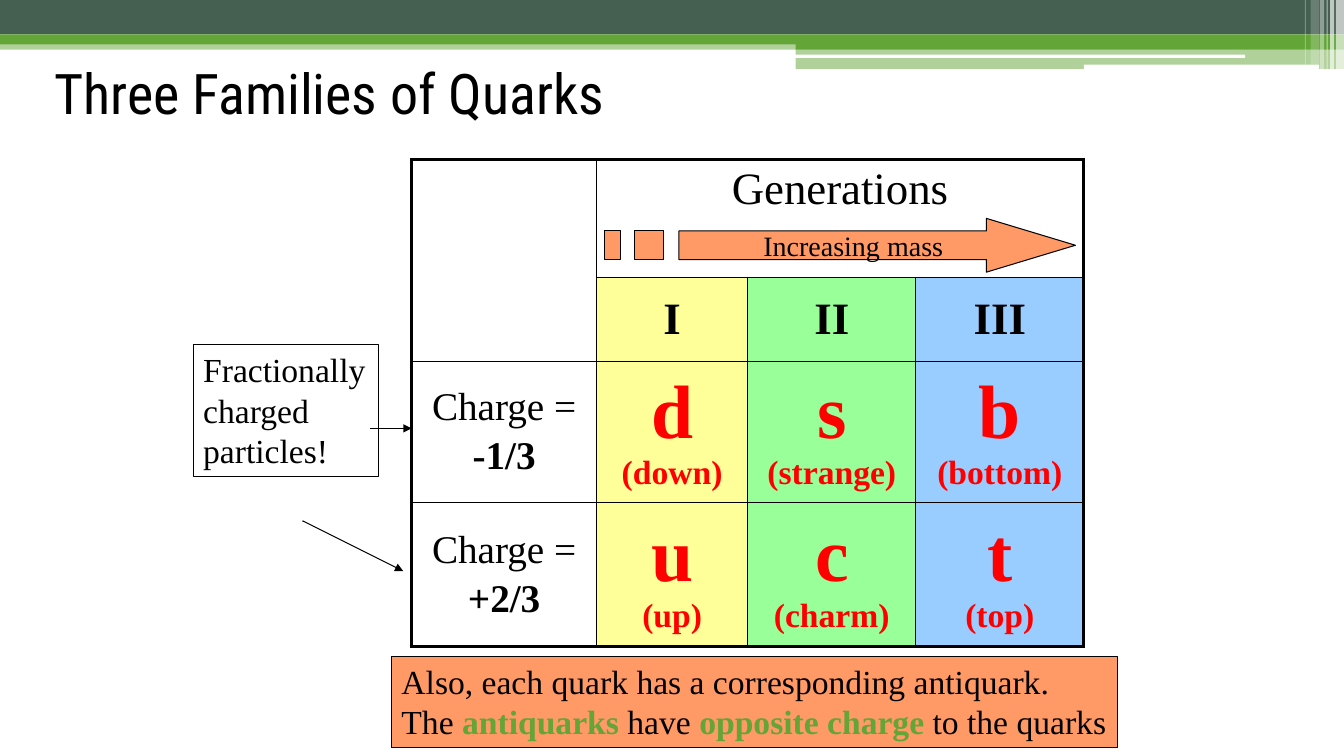
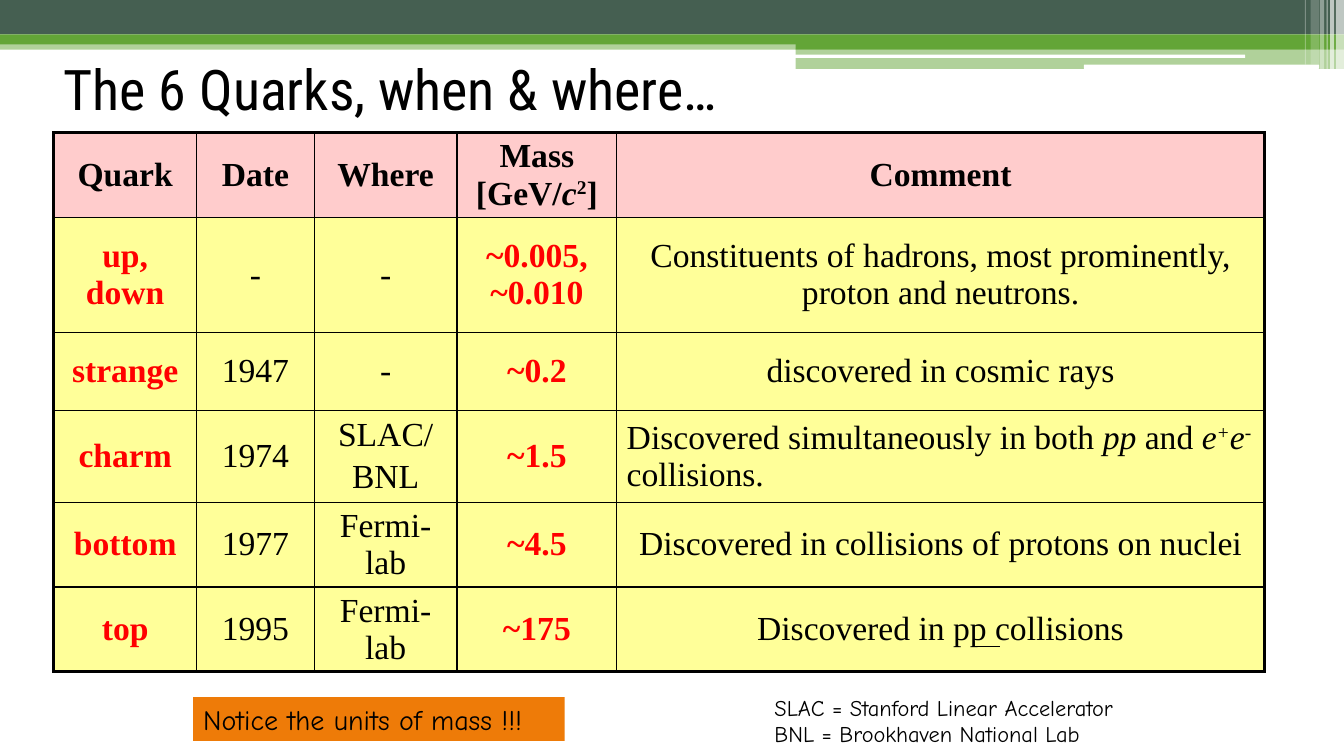
"""Build two slides about the quark families and their discovery."""
import pptx
import pptx.dml.color
import pptx.enum.shapes
import pptx.enum.text
import pptx.oxml
import pptx.oxml.ns
import pptx.util

BLACK, WHITE, RED = "000000", "FFFFFF", "FF0000"
GREEN, DARK_GREEN = "63A537", "455F51"
YELLOW, MINT, BLUE, PINK = "FFFF99", "99FF99", "99CCFF", "FFCCCC"
ORANGE, DEEP_ORANGE = "FF9966", "EE7B08"
LEFT, CENTER = pptx.enum.text.PP_ALIGN.LEFT, pptx.enum.text.PP_ALIGN.CENTER
TOP, MIDDLE = pptx.enum.text.MSO_ANCHOR.TOP, pptx.enum.text.MSO_ANCHOR.MIDDLE
DRAWING = pptx.oxml.ns.nsdecls("a")


def paint(fill, color, opacity=100):
    """Fill with a hex colour at an opacity in percent."""
    fill.solid()
    fill.fore_color.rgb = pptx.dml.color.RGBColor.from_string(color)
    if opacity < 100:
        choice = fill.fore_color._xFill.find(pptx.oxml.ns.qn("a:srgbClr"))
        choice.append(pptx.oxml.parse_xml(f'<a:alpha {DRAWING} val="{opacity * 1000}"/>'))


def write(frame, *paragraphs, align=LEFT, **style):
    """Write paragraphs, each a string or a list of (text, style) runs."""
    for index, content in enumerate(paragraphs):
        paragraph = frame.add_paragraph() if index else frame.paragraphs[0]
        paragraph.alignment = align
        if index:
            paragraph.space_before = pptx.util.Pt(0.15 * style.get("size", 24))
        for text, changes in [(content, {})] if isinstance(content, str) else content:
            look = {**style, **changes}
            for number, line in enumerate(text.split("\n")):
                if number:
                    paragraph.add_line_break()
                if not line:
                    continue
                run = paragraph.add_run()
                run.text = line
                run.font.name = look.get("font", "Times New Roman")
                run.font.size = pptx.util.Pt(look.get("size", 24))
                run.font.bold = look.get("bold", False)
                run.font.italic = look.get("italic", False)
                paint(run.font.fill, look.get("color", BLACK))
                if look.get("raised"):
                    run.font._element.set("baseline", "30000")


presentation = pptx.Presentation()
presentation.slide_width = pptx.util.Inches(13.33)
presentation.slide_height = pptx.util.Inches(7.5)
unit = presentation.slide_height / 90
layout = presentation.slide_layouts[5]

titles = [
    ("Three Families of Quarks", (5.3, 6.5, 102, 9)),
    ("The 6 Quarks, when & where…", (6.4, 7, 102, 7)),
]
slides = []
for text, box in titles:
    slide = presentation.slides.add_slide(layout)
    title = slide.shapes.title
    title.left, title.top, title.width, title.height = [int(unit * length) for length in box]
    title.text_frame.auto_size = pptx.enum.text.MSO_AUTO_SIZE.NONE
    title.text_frame.vertical_anchor = MIDDLE
    write(title.text_frame, text, font="Roboto Condensed", size=40)
    slides.append(slide)
families, discoveries = slides

RECTANGLE = pptx.enum.shapes.MSO_SHAPE.RECTANGLE
ROUNDED = pptx.enum.shapes.MSO_SHAPE.ROUNDED_RECTANGLE
bands = [
    (RECTANGLE, 0, 4.8, 160, 1.1, GREEN, 50),
    (RECTANGLE, 0, 0, 160, 4.1, DARK_GREEN, 100),
    (RECTANGLE, 0, 4.1, 160, 1.2, GREEN, 100),
    (RECTANGLE, 94.7, 4.7, 65.3, 1.2, GREEN, 100),
    (RECTANGLE, 94.7, 5.8, 65.3, 2.4, GREEN, 50),
    (ROUNDED, 94.6, 6.5, 53.6, 0.4, WHITE, 100),
    (ROUNDED, 129, 7.7, 28, 0.5, WHITE, 100),
    (RECTANGLE, 159, 0, 1, 8.2, WHITE, 65),
    (RECTANGLE, 158.3, 0, 0.5, 8.2, WHITE, 65),
    (RECTANGLE, 157.9, 0, 0.12, 8.2, WHITE, 60),
    (RECTANGLE, 157.1, 0, 0.5, 8.2, WHITE, 40),
    (RECTANGLE, 156, 0, 1, 7.7, WHITE, 20),
    (RECTANGLE, 155.3, 0, 0.12, 7.7, WHITE, 30),
]
for index, (preset, *box, color, opacity) in enumerate(bands):
    band = families.shapes.add_shape(preset, *[int(unit * length) for length in box])
    band.shadow.inherit = False
    band.line.fill.background()
    paint(band.fill, color, opacity)
    layout.shapes.element.insert(2 + index, band.element)

generation_fills = [None, YELLOW, MINT, BLUE]
bold = {"bold": True}
family_rows = [
    [([], {}, None), (["Generations"], {"size": 32}, None), ([], {}, None), ([], {}, None)],
    [([text], {"size": 32, "bold": True}, fill)
     for text, fill in zip(["", "I", "II", "III"], generation_fills)],
]
for charge, *quarks in [
    ("-1/3", ("d", "down"), ("s", "strange"), ("b", "bottom")),
    ("+2/3", ("u", "up"), ("c", "charm"), ("t", "top")),
]:
    row = [(["Charge =", [(charge, bold)]], {"size": 28}, None)]
    for (symbol, name), fill in zip(quarks, generation_fills[1:]):
        runs = [(symbol + "\n", {"size": 54}), (f"({name})", {})]
        row.append(([runs], {"color": RED, "bold": True}, fill))
    family_rows.append(row)

italic, raised = {"italic": True}, {"raised": True}
discovery_texts = [
    ["Quark", "Date", "Where",
     [("Mass\n[GeV/", {}), ("c", italic), ("2", raised), ("]", {})], "Comment"],
    ["up, down", "-", "-", "~0.005, ~0.010",
     "Constituents of hadrons, most prominently, proton and neutrons."],
    ["strange", "1947", "-", "~0.2", "discovered in cosmic rays"],
    ["charm", "1974", ("SLAC/", "BNL"), "~1.5",
     [("Discovered simultaneously in both ", {}), ("pp", italic), (" and ", {}), ("e", italic),
      ("+", {**italic, **raised}), ("e", italic), ("-", raised), (" collisions.", {})]],
    ["bottom", "1977", "Fermi-\nlab", "~4.5", "Discovered in collisions of protons on nuclei"],
    ["top", "1995", "Fermi-\nlab", "~175", "Discovered in pp collisions"],
]
discovery_rows = []
for row_index, texts in enumerate(discovery_texts):
    row = []
    for column_index, text in enumerate(texts):
        style = {"bold": row_index == 0}
        if row_index and column_index in (0, 3):
            style = {"bold": True, "color": RED}
        if (row_index, column_index) == (3, 4):
            style["align"] = LEFT
        paragraphs = text if isinstance(text, tuple) else [text]
        row.append((paragraphs, style, YELLOW if row_index else PINK))
    discovery_rows.append(row)

tables = [
    (families, 49, 19, [22, 18, 20, 20], [14, 10, 16.8, 17.2], family_rows,
     [((0, 0), (1, 0)), ((0, 1), (0, 3))]),
    (discoveries, 6.4, 15.8, [17, 14, 17, 19, 77.1], [10.1, 13.7, 9.3, 10.9, 10.1, 10.1],
     discovery_rows, []),
]
for slide, left, top, widths, heights, rows, merges in tables:
    box = [int(unit * length) for length in (left, top, sum(widths), sum(heights))]
    table = slide.shapes.add_table(len(heights), len(widths), *box).table
    table.first_row = table.horz_banding = False
    for column, width in zip(table.columns, widths):
        column.width = int(unit * width)
    for row, height in zip(table.rows, heights):
        row.height = int(unit * height)
    for first, last in merges:
        table.cell(*first).merge(table.cell(*last))
    for row_index, row in enumerate(rows):
        for column_index, (paragraphs, style, fill) in enumerate(row):
            cell = table.cell(row_index, column_index)
            cell.vertical_anchor = TOP if paragraphs == ["Generations"] else MIDDLE
            write(cell.text_frame, *paragraphs, **{"align": CENTER, **style})
            if fill:
                paint(cell.fill, fill)
            else:
                cell.fill.background()
            outer_sides = {
                "lnL": column_index == 0,
                "lnR": column_index + cell.span_width == len(widths),
                "lnT": row_index == 0,
                "lnB": row_index + cell.span_height == len(heights),
            }
            properties = cell._tc.get_or_add_tcPr()
            for index, (side, outer) in enumerate(outer_sides.items()):
                width = pptx.util.Pt(2.25 if outer else 1)
                properties.insert(index, pptx.oxml.parse_xml(
                    f'<a:{side} {DRAWING} w="{width}"><a:solidFill>'
                    f'<a:srgbClr val="{BLACK}"/></a:solidFill></a:{side}>'))

antiquark_runs = [
    ("Also, each quark has a corresponding antiquark.\nThe ", {}),
    ("antiquarks", {"bold": True, "color": GREEN}),
    (" have ", {}),
    ("opposite charge", {"bold": True, "color": GREEN}),
    (" to the quarks", {}),
]
laboratories = "SLAC = Stanford Linear Accelerator\nBNL = Brookhaven National Lab"
notes = [
    (families, (46.6, 78.1, 86.4, 10.9), ORANGE, True, False, antiquark_runs, {}),
    (families, (23, 41, 22, 15.7), None, True, False, "Fractionally\ncharged\nparticles!", {}),
    (discoveries, (23, 83, 44.2, 5.2), DEEP_ORANGE, False, True, "Notice the units of mass !!!",
     {"font": "Comic Neue", "size": 20}),
    (discoveries, (91, 82, 48, 7.7), None, False, True, laboratories,
     {"font": "Comic Neue", "size": 16}),
]
for slide, box, fill, outlined, wrapped, content, style in notes:
    note = slide.shapes.add_textbox(*[int(unit * length) for length in box])
    note.text_frame.auto_size = pptx.enum.text.MSO_AUTO_SIZE.NONE
    note.text_frame.word_wrap = wrapped
    if fill:
        paint(note.fill, fill)
    if outlined:
        paint(note.line.fill, BLACK)
        note.line.width = pptx.util.Pt(0.75)
    write(note.text_frame, content, **style)

lines = [
    (families, (36, 62, 48, 68), True),
    (families, (44, 51, 49, 51), True),
    (discoveries, (116, 77, 119, 77), False),
]
for slide, ends, arrow in lines:
    connector = slide.shapes.add_connector(
        pptx.enum.shapes.MSO_CONNECTOR.STRAIGHT, *[int(unit * length) for length in ends])
    paint(connector.line.fill, BLACK)
    connector.line.width = pptx.util.Pt(0.75)
    properties = connector.element.spPr
    if arrow:
        outline = properties.find(pptx.oxml.ns.qn("a:ln"))
        outline.append(pptx.oxml.parse_xml(f'<a:tailEnd {DRAWING} type="triangle"/>'))
    properties.append(pptx.oxml.parse_xml(f"<a:effectLst {DRAWING}/>"))

arrow_outline = [(117.4, 26), (117.4, 27.5), (80.8, 27.5), (80.8, 30.9),
                 (117.4, 30.9), (117.4, 32.4), (128, 29.2)]
blocks = [[(left, 27.5), (left, 30.9), (right, 30.9), (right, 27.5)]
          for left, right in [(75.5, 79), (72, 73.8)]]
builder = families.shapes.build_freeform(*arrow_outline[0], scale=unit / 100)
for outline in [arrow_outline, *blocks]:
    points = [(round(100 * x), round(100 * y)) for x, y in outline]
    if outline is arrow_outline:
        builder = families.shapes.build_freeform(*points[0], scale=unit / 100)
    else:
        builder.move_to(*points[0])
    builder.add_line_segments(points[1:], close=True)
mass_arrow = builder.convert_to_shape()
mass_arrow.shadow.inherit = False
paint(mass_arrow.fill, ORANGE)
paint(mass_arrow.line.fill, BLACK)
mass_arrow.line.width = pptx.util.Pt(0.75)
mass_arrow.text_frame.margin_left = int(unit * 4.3)
mass_arrow.text_frame.word_wrap = False
mass_arrow.text_frame.vertical_anchor = MIDDLE
write(mass_arrow.text_frame, "Increasing mass", align=CENTER, size=20)

presentation.save("out.pptx")
